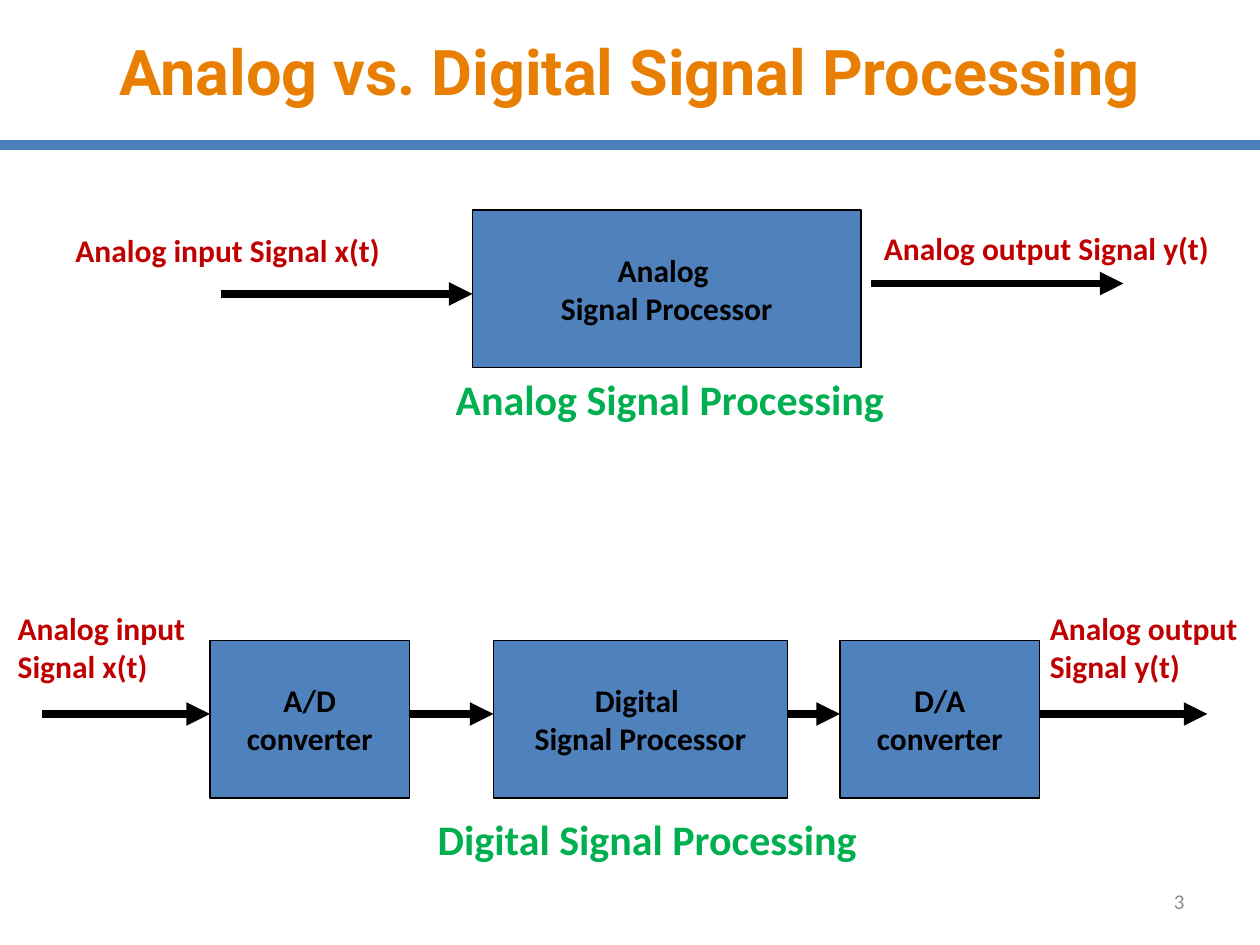
import pptx
import pptx.util
import pptx.dml.color
import pptx.enum.shapes
import pptx.enum.text
from dataclasses import dataclass
from lxml import etree

ALIGN = pptx.enum.text.PP_ALIGN
ANCHOR = pptx.enum.text.MSO_ANCHOR
LEFT, MID, RIGHT = ALIGN.LEFT, ALIGN.CENTER, ALIGN.RIGHT
NS = "{http://schemas.openxmlformats.org/drawingml/2006/main}"
COLS, ROWS = 120, 90


@dataclass(frozen=True)
class Theme:
    head: str = "Roboto"
    body: str = "Calibri"
    title: str = "E97F02"
    rule: str = "4B7EBC"
    box: str = "4F81BD"
    ink: str = "000000"
    signal: str = "C00000"
    name: str = "00B050"
    page: str = "8C8C8C"
    big: int = 36
    mid: int = 24
    text: int = 18
    small: int = 12


def color(code):
    return pptx.dml.color.RGBColor.from_string(code)


class Deck:
    """Draws on one slide, with lengths in columns and rows of a grid."""

    def __init__(self, theme):
        self.theme = theme
        self.show = pptx.Presentation()
        self.show.slide_width = pptx.util.Inches(10)
        self.show.slide_height = pptx.util.Inches(7.5)
        self.slide = self.show.slides.add_slide(self.show.slide_layouts[5])
        self.shapes = self.slide.shapes

    def x(self, col):
        return round(self.show.slide_width * col / COLS)

    def y(self, row):
        return round(self.show.slide_height * row / ROWS)

    def area(self, col, row, wide, high):
        return self.x(col), self.y(row), self.x(wide), self.y(high)

    def letter(self, shape, text, size, tint, align=MID, anchor=ANCHOR.TOP,
               wrap=True, bold=True, face=None):
        """Put styled text into a shape."""
        frame = shape.text_frame
        frame.text = text
        frame.word_wrap = wrap
        frame.vertical_anchor = anchor
        for para in frame.paragraphs:
            para.alignment = align
            for run in para.runs:
                run.font.name = face or self.theme.body
                run.font.size = pptx.util.Pt(size)
                run.font.bold = bold
                run.font.color.rgb = color(tint)

    def title(self, text, *area):
        shape = self.shapes.title
        shape.left, shape.top, shape.width, shape.height = self.area(*area)
        self.letter(shape, text, self.theme.big, self.theme.title,
                    face=self.theme.head)

    def label(self, text, area, size, tint, **style):
        shape = self.shapes.add_textbox(*self.area(*area))
        self.letter(shape, text, size, tint, **style)

    def signal(self, text, *area):
        self.label(text, area, self.theme.text, self.theme.signal, align=LEFT)

    def name(self, text, *area):
        self.label(text, area, self.theme.mid, self.theme.name, wrap=False)

    def box(self, text, *area):
        kind = pptx.enum.shapes.MSO_SHAPE.RECTANGLE
        shape = self.shapes.add_shape(kind, *self.area(*area))
        shape.shadow.inherit = False
        shape.fill.solid()
        shape.fill.fore_color.rgb = color(self.theme.box)
        shape.line.color.rgb = color(self.theme.ink)
        shape.line.width = pptx.util.Pt(0.75)
        self.letter(shape, text, self.theme.text, self.theme.ink,
                    anchor=ANCHOR.MIDDLE, wrap=False)

    def line(self, start, end, row, tint, width):
        kind = pptx.enum.shapes.MSO_CONNECTOR.STRAIGHT
        link = self.shapes.add_connector(
            kind, self.x(start), self.y(row), self.x(end), self.y(row))
        link.line.color.rgb = color(tint)
        link.line.width = pptx.util.Pt(width)
        etree.SubElement(link._element.spPr, NS + "effectLst")
        return link

    def arrow(self, start, end, row):
        link = self.line(start, end, row, self.theme.ink, 4.5)
        etree.SubElement(link._element.spPr.find(NS + "ln"), NS + "tailEnd",
                         type="triangle")


def main():
    theme = Theme()
    deck = Deck(theme)
    deck.line(0, COLS, 13.8, theme.rule, 6)
    deck.title("Analog vs. Digital Signal Processing", 6, 2.5, 108, 10.5)
    deck.label("3", (109, 83.4, 5, 4.8), theme.small, theme.page,
               align=RIGHT, anchor=ANCHOR.MIDDLE, bold=False)

    # Analog system
    deck.box("Analog \nSignal Processor", 45, 20, 37, 15)
    deck.arrow(21, 45, 28)
    deck.arrow(83, 107, 27)
    deck.signal("Analog input Signal x(t)", 6, 21.4, 33, 4.8)
    deck.signal("Analog output Signal y(t)", 83, 21.2, 33.7, 4.8)
    deck.name("Analog Signal Processing", 42, 35, 43.6, 6)

    # Digital system: arrows fill the gaps between the stages
    stages = [("A/D\nconverter", 20, 19),
              ("Digital \nSignal Processor", 47, 28),
              ("D/A\nconverter", 80, 19)]
    start = 4
    for text, col, wide in stages:
        deck.box(text, col, 61, wide, 15)
        deck.arrow(start, col, 68)
        start = col + wide
    deck.arrow(start, 115, 68)
    deck.signal("Analog input\nSignal x(t)", 0.5, 57.4, 19.3, 8.5)
    deck.signal("Analog output\nSignal y(t)", 98.8, 57.4, 20.8, 8.5)
    deck.name("Digital Signal Processing", 40.3, 76.9, 42.7, 6)

    deck.show.save("out.pptx")


if __name__ == "__main__":
    main()
